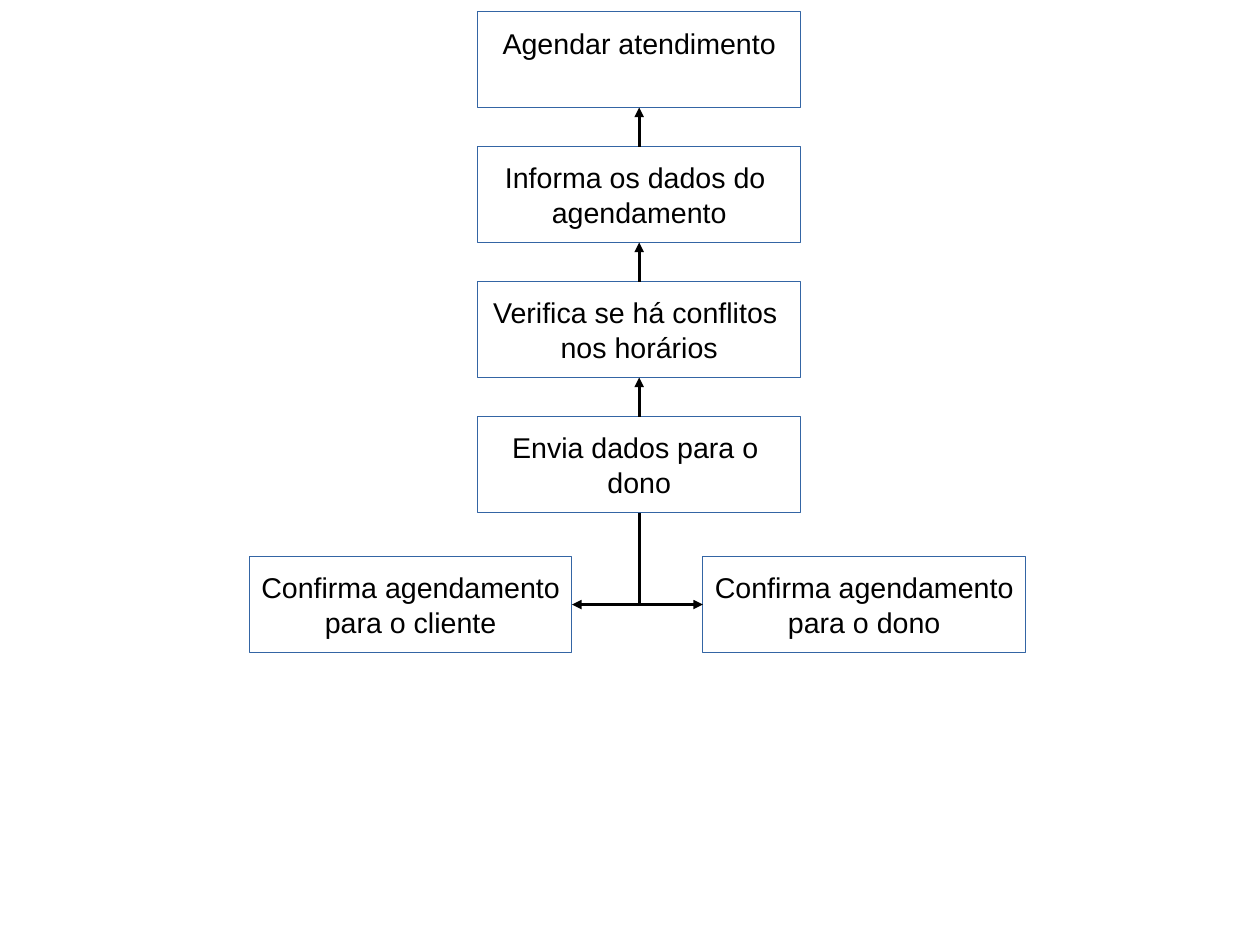
"""Builds a slide with the flow for booking an appointment."""
import pptx
import pptx.dml.color
import pptx.enum.shapes
import pptx.enum.text
import pptx.oxml.ns
import pptx.util
from lxml import etree

Cm, Pt = pptx.util.Cm, pptx.util.Pt
RGB = pptx.dml.color.RGBColor.from_string

STEPS = [
    ["Agendar atendimento"],
    ["Informa os dados do ", "agendamento"],
    ["Verifica se há conflitos ", "nos horários"],
    ["Envia dados para o ", "dono"],
]
CONFIRMATIONS = [
    (15.62, ["Confirma agendamento", "para o dono"]),
    (5.54, ["Confirma agendamento", "para o cliente"]),
]

THEME = {
    "font": {"name": "Arial", "size": Pt(18)},
    "text": RGB("000000"),
    "border": RGB("3465A4"),
    "arrow": RGB("000000"),
    "line_width": Pt(0),
}
FRAME = {
    "word_wrap": False,
    "vertical_anchor": pptx.enum.text.MSO_ANCHOR.MIDDLE,
    "margin_left": Cm(0.25),
    "margin_right": Cm(0.25),
    "margin_top": Cm(0.13),
    "margin_bottom": Cm(0.13),
}
BOX_WIDTH, BOX_HEIGHT = 7.17, 2.13
STEP_LEFT, STEP_TOP, STEP_PITCH = 10.62, 0.26, 3
CONFIRMATION_TOP = 12.37
TITLE_MARGIN_BOTTOM = Cm(0.85)
TOP, LEFT, BOTTOM, RIGHT = range(4)


def apply(target, values):
    for name, value in values.items():
        setattr(target, name, value)


def add_box(slide, left, top, lines):
    box = slide.shapes.add_shape(
        pptx.enum.shapes.MSO_SHAPE.RECTANGLE,
        Cm(left), Cm(top), Cm(BOX_WIDTH), Cm(BOX_HEIGHT))
    box.shadow.inherit = False
    box.fill.background()
    box.line.color.rgb = THEME["border"]
    box.line.width = THEME["line_width"]
    frame = box.text_frame
    apply(frame, FRAME)
    frame.text = "\n".join(lines)
    for paragraph in frame.paragraphs:
        paragraph.alignment = pptx.enum.text.PP_ALIGN.CENTER
        for run in paragraph.runs:
            apply(run.font, THEME["font"])
            run.font.color.rgb = THEME["text"]
    return box


def add_arrow(slide, kind, target, target_side, origin, origin_side):
    arrow = slide.shapes.add_connector(kind, 0, 0, 0, 0)
    arrow.begin_connect(target, target_side)
    arrow.end_connect(origin, origin_side)
    arrow.line.color.rgb = THEME["arrow"]
    arrow.line.width = THEME["line_width"]
    qn = pptx.oxml.ns.qn
    properties = arrow.line._get_or_add_ln().getparent()
    etree.SubElement(properties.find(qn("a:ln")), qn("a:headEnd"), type="triangle")
    etree.SubElement(properties, qn("a:effectLst"))
    if kind == pptx.enum.shapes.MSO_CONNECTOR.ELBOW:
        properties.find(qn("a:prstGeom")).set("prst", "bentConnector2")


def main():
    deck = pptx.Presentation()
    deck.slide_width, deck.slide_height = Cm(28), Cm(21)
    slide = deck.slides.add_slide(deck.slide_layouts[6])
    connector = pptx.enum.shapes.MSO_CONNECTOR

    steps = [add_box(slide, STEP_LEFT, STEP_TOP + row * STEP_PITCH, lines)
             for row, lines in enumerate(STEPS)]
    steps[0].text_frame.margin_bottom = TITLE_MARGIN_BOTTOM
    confirmations = [add_box(slide, left, CONFIRMATION_TOP, lines)
                     for left, lines in CONFIRMATIONS]

    for upper, lower in zip(steps, steps[1:]):
        add_arrow(slide, connector.STRAIGHT, upper, BOTTOM, lower, TOP)
    for confirmation in confirmations:
        side = LEFT if confirmation.left > steps[-1].left else RIGHT
        add_arrow(slide, connector.ELBOW, confirmation, side, steps[-1], BOTTOM)

    deck.save("out.pptx")


if __name__ == "__main__":
    main()
